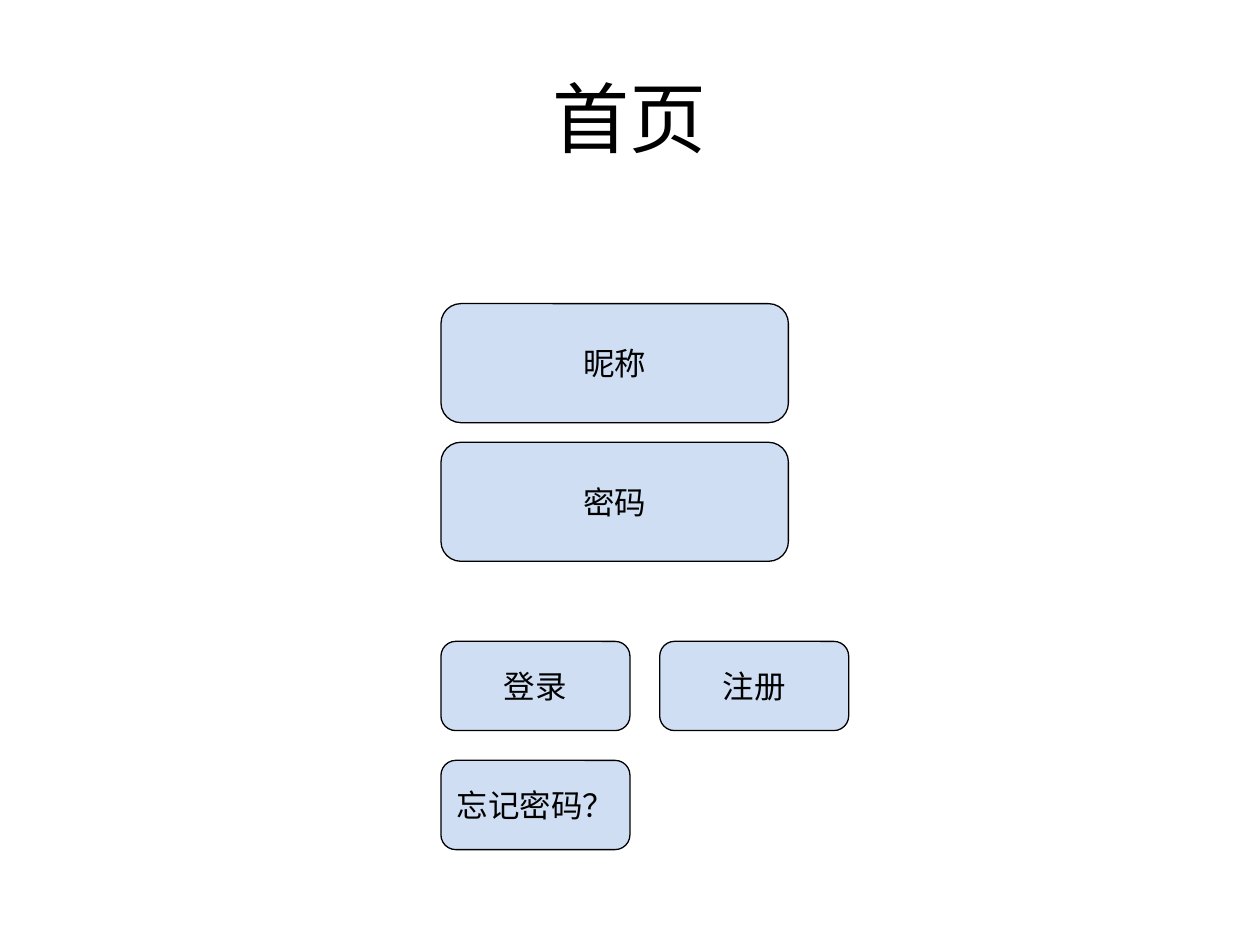
from pptx import Presentation
from pptx.dml.color import RGBColor
from pptx.enum.shapes import MSO_SHAPE
from pptx.enum.text import MSO_ANCHOR, PP_ALIGN
from pptx.util import Pt

BLACK = RGBColor(0x00, 0x00, 0x00)
PALE_BLUE = RGBColor(0xCF, 0xDE, 0xF3)

LEFT = 252
FIELD_TOP, FIELD_WIDTH, FIELD_HEIGHT, FIELD_STEP = 173.5, 198.5, 68, 79.25
BUTTON_TOP, BUTTON_WIDTH, BUTTON_HEIGHT, BUTTON_GAP = 366.5, 108, 51, 17


def write_text(text_frame, text, *, size, font="Arial", color=BLACK, wrap=True):
    text_frame.word_wrap = wrap
    text_frame.vertical_anchor = MSO_ANCHOR.MIDDLE
    paragraph = text_frame.paragraphs[0]
    paragraph.alignment = PP_ALIGN.CENTER
    run = paragraph.add_run()
    run.text = text
    run.font.size = Pt(size)
    run.font.name = font
    run.font.color.rgb = color


class FormSlide:
    """Holds the form style and the slide being drawn."""

    def __init__(self, slide, fill=PALE_BLUE, line=BLACK):
        self.slide = slide
        self.fill = fill
        self.line = line

    def title(self, text, left, top, width, height):
        shape = self.slide.shapes.add_textbox(Pt(left), Pt(top), Pt(width), Pt(height))
        write_text(shape.text_frame, text, size=44)

    def box(self, text, left, top, width, height):
        shape = self.slide.shapes.add_shape(
            MSO_SHAPE.ROUNDED_RECTANGLE, Pt(left), Pt(top), Pt(width), Pt(height))
        shape.shadow.inherit = False
        shape.fill.solid()
        shape.fill.fore_color.rgb = self.fill
        shape.line.color.rgb = self.line
        shape.line.width = Pt(0.75)
        write_text(shape.text_frame, text, size=18, wrap=False)


def main():
    presentation = Presentation()
    presentation.slide_width = Pt(720)
    presentation.slide_height = Pt(540)
    form = FormSlide(presentation.slides.add_slide(presentation.slide_layouts[6]))

    form.title("首页", 36, 21.6, 648, 90)
    for index, label in enumerate(("昵称", "密码")):
        form.box(label, LEFT, FIELD_TOP + index * FIELD_STEP, FIELD_WIDTH, FIELD_HEIGHT)

    buttons = (("登录", 0, 0), ("忘记密码？", 0, 1), ("注册", 1, 0))
    for label, column, row in buttons:
        form.box(label,
                 LEFT + column * (BUTTON_WIDTH + BUTTON_GAP),
                 BUTTON_TOP + row * (BUTTON_HEIGHT + BUTTON_GAP),
                 BUTTON_WIDTH, BUTTON_HEIGHT)

    presentation.save("out.pptx")


if __name__ == "__main__":
    main()
